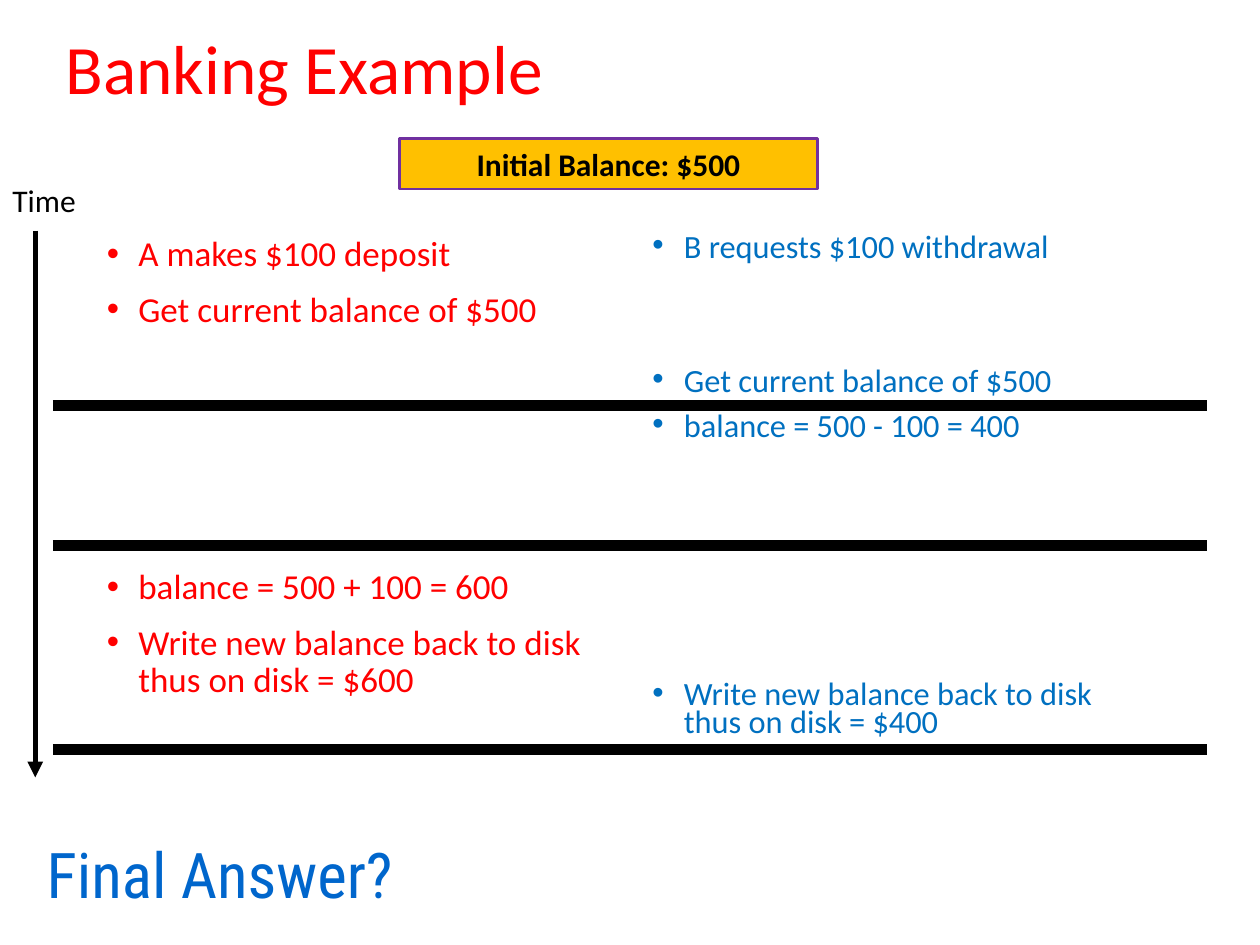
from lxml import etree
from pptx import Presentation
from pptx.dml.color import RGBColor
from pptx.enum.shapes import MSO_CONNECTOR, MSO_SHAPE
from pptx.enum.text import MSO_ANCHOR, PP_ALIGN
from pptx.oxml.ns import qn
from pptx.util import Inches, Pt

COLORS = {"red": "FF0000", "blue": "0070C0", "answer": "0066CC",
          "black": "000000", "gold": "FFC000", "purple": "7030A0"}

# Each step: text, space before in points (wide gaps show waiting time)
CUSTOMERS = [
    {"left": 0.75, "size": 20, "color": "red", "spacing": 0.9, "steps": [
        ("A makes $100 deposit", 10),
        ("Get current balance of $500", 10),
        ("balance = 500 + 100 = 600", 137),
        ("Write new balance back to disk thus on disk = $600", 10)]},
    {"left": 5.08, "size": 18.5, "color": "blue", "spacing": 0.7, "steps": [
        ("B requests $100 withdrawal", 10),
        ("Get current balance of $500", 61),
        ("balance = 500 - 100 = 400", 10),
        ("Write new balance back to disk thus on disk = $400", 138)]},
]
DIVIDERS = [3.22, 4.33, 5.95]
STEPS_TOP = 1.83


def rgb(name):
    return RGBColor.from_string(COLORS[name])


def add_run(p, text, size, color, font="Calibri", bold=False):
    r = p.add_run()
    r.text = text
    r.font.name = font
    r.font.size = Pt(size)
    r.font.bold = bold
    r.font.color.rgb = rgb(color)


def add_box(s, left, top, width, height):
    sp = s.shapes.add_textbox(*map(Inches, (left, top, width, height)))
    sp.text_frame.word_wrap = True
    return sp.text_frame


def add_bullet(p):
    pPr = p._p.get_or_add_pPr()
    pPr.set("marL", str(Inches(0.25)))
    pPr.set("indent", str(-Inches(0.25)))
    etree.SubElement(pPr, qn("a:buFont")).set("typeface", "Arial")
    etree.SubElement(pPr, qn("a:buChar")).set("char", "•")


def add_steps(s, customer):
    tf = add_box(s, customer["left"], STEPS_TOP, 4.17, 4.5)
    for i, (text, gap) in enumerate(customer["steps"]):
        p = tf.add_paragraph() if i else tf.paragraphs[0]
        p.line_spacing = customer["spacing"]
        p.space_before = Pt(gap)
        add_bullet(p)
        add_run(p, text, customer["size"], customer["color"])


def add_line(s, x1, y1, x2, y2, width, arrow=False):
    line = s.shapes.add_connector(MSO_CONNECTOR.STRAIGHT,
                                  *map(Inches, (x1, y1, x2, y2)))
    line.line.color.rgb = rgb("black")
    line.line.width = Pt(width)
    if arrow:
        ln = line.line._get_or_add_ln()
        etree.SubElement(ln, qn("a:tailEnd")).set("type", "triangle")
    etree.SubElement(line._element.spPr, qn("a:effectLst"))


def add_title(s, text):
    title = s.shapes.title
    title.left, title.top = Inches(0.42), Inches(0.3)
    title.width, title.height = Inches(8.5), Inches(0.54)
    tf = title.text_frame
    tf.vertical_anchor = MSO_ANCHOR.MIDDLE
    p = tf.paragraphs[0]
    p.alignment = PP_ALIGN.LEFT
    p.line_spacing = 0.9
    add_run(p, text, 39.6, "red")


def add_balance(s, text):
    sp = s.shapes.add_shape(MSO_SHAPE.RECTANGLE,
                            *map(Inches, (3.17, 1.1, 3.32, 0.4)))
    sp.shadow.inherit = False
    sp.fill.solid()
    sp.fill.fore_color.rgb = rgb("gold")
    sp.line.color.rgb = rgb("purple")
    sp.line.width = Pt(1.5)
    p = sp.text_frame.paragraphs[0]
    p.alignment = PP_ALIGN.CENTER
    add_run(p, text, 18, "black", bold=True)


def add_answer(s, text):
    tf = add_box(s, 0.33, 6.58, 2.83, 0.62)
    tf.margin_left = tf.margin_right = 0
    p = tf.paragraphs[0]
    p.alignment = PP_ALIGN.CENTER
    add_run(p, text, 36, "answer", font="Roboto Condensed")


def main():
    prs = Presentation()
    prs.slide_width, prs.slide_height = Inches(10), Inches(7.5)
    s = prs.slides.add_slide(prs.slide_layouts[5])

    add_title(s, "Banking Example")
    for customer in CUSTOMERS:
        add_steps(s, customer)
    for y in DIVIDERS:
        add_line(s, 0.42, y, 9.58, y, 6)
    add_answer(s, "Final Answer?")
    add_balance(s, "Initial Balance: $500")
    add_line(s, 0.28, STEPS_TOP, 0.28, 6.17, 3, arrow=True)
    add_run(add_box(s, 0, 1.39, 0.75, 0.4).paragraphs[0], "Time", 18, "black")
    prs.save("out.pptx")


if __name__ == "__main__":
    main()
